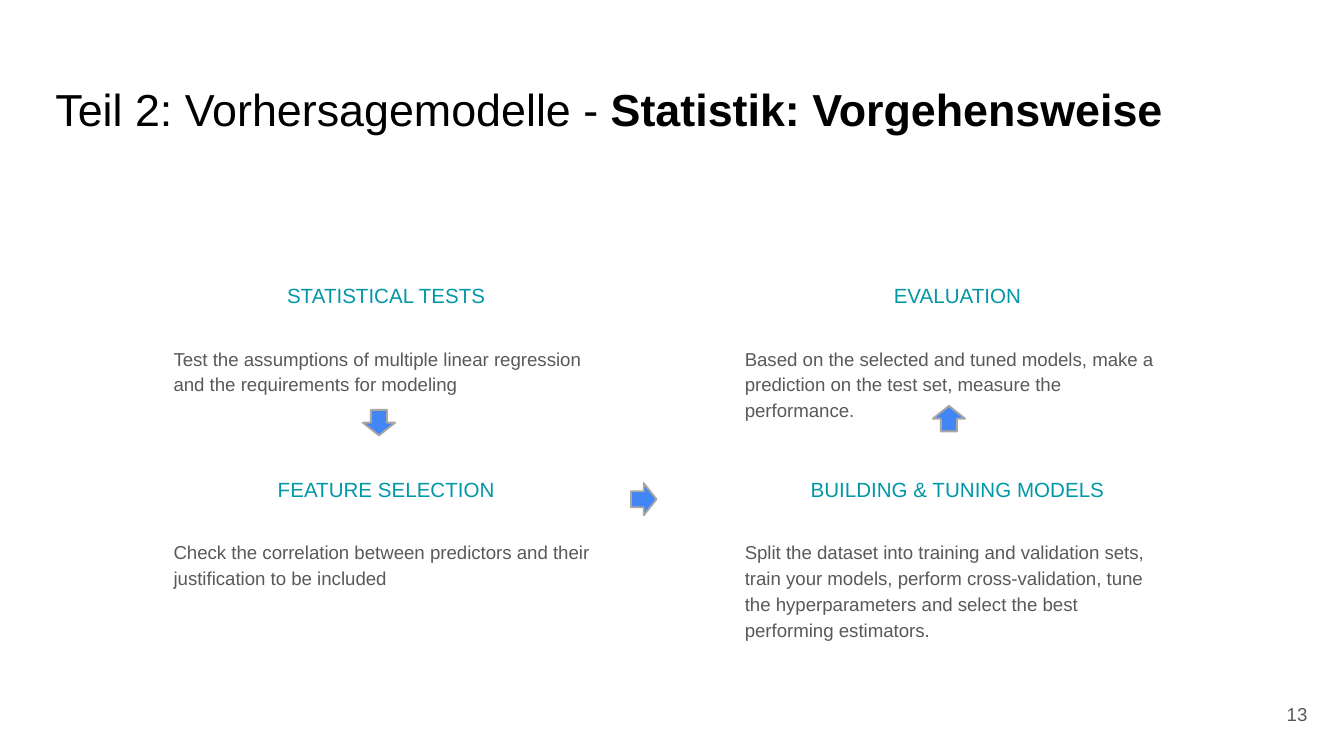
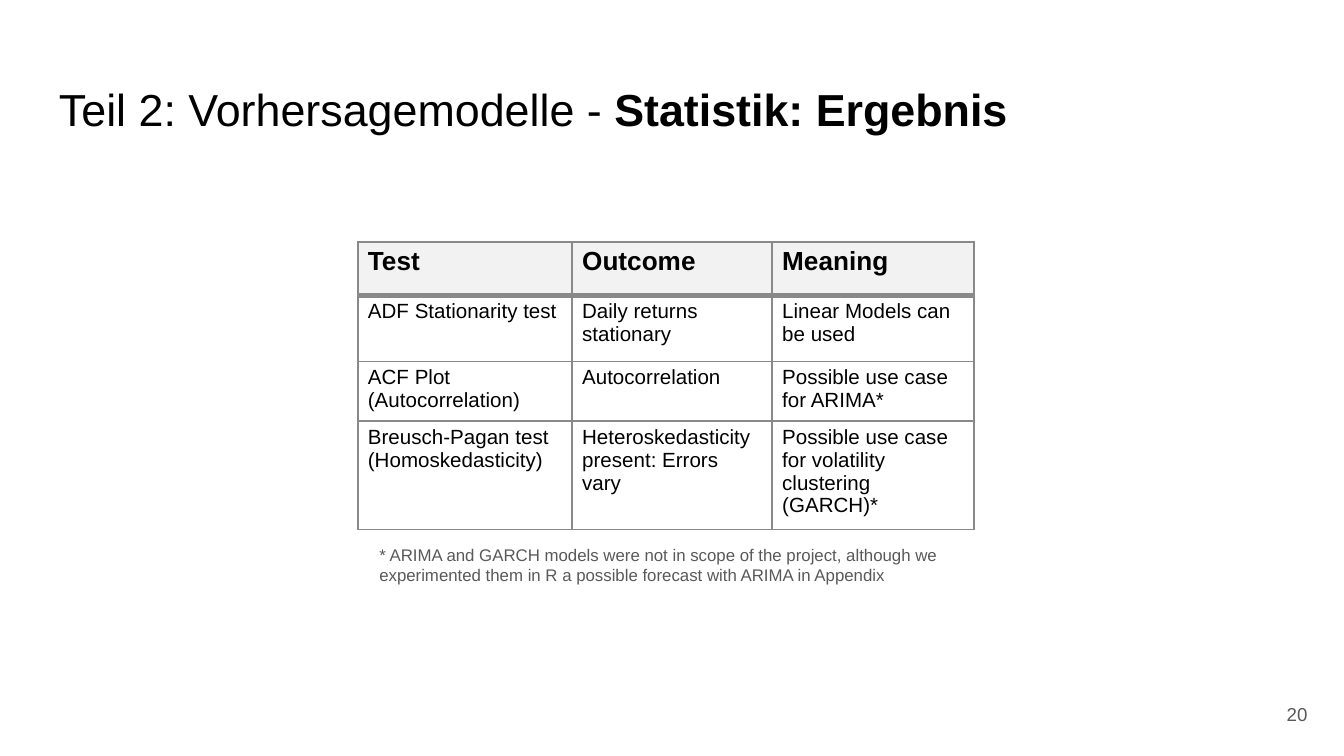
"""Build two slides on statistical modelling: the approach and its results."""
from dataclasses import dataclass

from lxml import etree
from pptx import Presentation
from pptx.dml.color import RGBColor
from pptx.enum import shapes, text
from pptx.oxml import ns
from pptx.util import Pt

PART = "Teil 2: Vorhersagemodelle - "

STEPS = [
    (0, 0, "STATISTICAL TESTS",
     "Test the assumptions of multiple linear regression and the "
     "requirements for modeling"),
    (1, 0, "EVALUATION",
     "Based on the selected and tuned models, make a prediction on the "
     "test set, measure the performance."),
    (0, 1, "FEATURE SELECTION",
     "Check the correlation between predictors and their justification "
     "to be included"),
    (1, 1, "BUILDING & TUNING MODELS",
     "Split the dataset into training and validation sets, train your "
     "models, perform cross-validation, tune the hyperparameters and "
     "select the best performing estimators."),
]

ARROWS = [(194.4, 219.6, 0), (336.2, 260.6, 270), (499.7, 217.4, 180)]

TESTS = [
    ("Test", "Outcome", "Meaning"),
    ("ADF Stationarity test", "Daily returns stationary",
     "Linear Models can be used"),
    ("ACF Plot (Autocorrelation)", "Autocorrelation",
     "Possible use case for ARIMA*"),
    ("Breusch-Pagan test (Homoskedasticity)",
     "Heteroskedasticity present: Errors vary",
     "Possible use case for volatility clustering (GARCH)*"),
]
COLS = (114.8, 107.2, 108)
ROWS = (28.5, 35.5, 28, 28.8)

NOTE = ("* ARIMA and GARCH models were not in scope of the project, although "
        "we experimented them in R a possible forecast with ARIMA in Appendix")


@dataclass(frozen=True)
class Theme:
    """Colours, font and type sizes."""
    font: str = "Arial"
    back: str = "FFFFFF"
    ink: str = "000000"
    grey: str = "595959"
    teal: str = "0097A7"
    blue: str = "4285F4"
    edge: str = "AAA7A2"
    rule: str = "898989"
    band: str = "F2F2F2"
    title: int = 24
    label: int = 11
    body: int = 10
    note: int = 9
    head: int = 14


T = Theme()


def paint(fill, color):
    """Give a fill one solid colour."""
    fill.solid()
    fill.fore_color.rgb = RGBColor.from_string(color)


def write(para, words, size, color, bold=False):
    """Add one styled run."""
    run = para.add_run()
    run.text = words
    font = run.font
    font.name, font.size, font.bold = T.font, Pt(size), bold
    font.color.rgb = RGBColor.from_string(color)


def box(slide, at, runs, size, color, align=text.PP_ALIGN.LEFT,
        anchor=text.MSO_ANCHOR.TOP, inset=(5.2, 3), lead=None):
    """Add a wrapped text box of (words, bold) runs."""
    frame = slide.shapes.add_textbox(*map(Pt, at)).text_frame
    frame.word_wrap = True
    frame.vertical_anchor = anchor
    frame.margin_left = frame.margin_right = Pt(inset[0])
    frame.margin_top = frame.margin_bottom = Pt(inset[1])
    para = frame.paragraphs[0]
    para.alignment = align
    para.line_spacing = lead
    for words, bold in runs:
        write(para, words, size, color, bold)


def start(deck, topic, number, inset):
    """Add a blank slide with its title and page number."""
    slide = deck.slides.add_slide(deck.slide_layouts[6])
    paint(slide.background.fill, T.back)
    mid = text.MSO_ANCHOR.MIDDLE
    box(slide, (24.5, 35.3, 671, 45.4), [(PART, False), (topic, True)],
        T.title, T.ink, anchor=mid, inset=inset)
    box(slide, (662.4, 367.2, 43.2, 31), [(str(number), False)],
        T.body, T.grey, text.PP_ALIGN.RIGHT, mid)
    return slide


def flow(slide):
    """Lay the steps on a two by two grid and link them with arrows."""
    wide = 238.3
    for col, row, name, words in STEPS:
        left, top = 87.8 + 306 * col, 151.2 + 103.7 * row
        box(slide, (left, top, wide, 21.6), [(name, False)],
            T.label, T.teal, text.PP_ALIGN.CENTER, lead=0.8)
        box(slide, (left, top + 30.2, wide, 32), [(words, False)],
            T.body, T.grey, lead=1.15)
    for left, top, turn in ARROWS:
        arrow = slide.shapes.add_shape(shapes.MSO_SHAPE.DOWN_ARROW,
                                       Pt(left), Pt(top), Pt(17.3), Pt(13.7))
        arrow.rotation = turn
        arrow.shadow.inherit = False
        paint(arrow.fill, T.blue)
        paint(arrow.line.fill, T.edge)
        arrow.line.width = Pt(1)


def border(cell, widths):
    """Draw the left, right, top and bottom cell borders."""
    props = cell._tc.get_or_add_tcPr()
    for spot, (side, width) in enumerate(zip("LRTB", widths)):
        line = etree.Element(ns.qn(f"a:ln{side}"), w=str(Pt(width)))
        fill = etree.SubElement(line, ns.qn("a:solidFill"))
        etree.SubElement(fill, ns.qn("a:srgbClr"), val=T.rule)
        props.insert(spot, line)


def grid(slide):
    """Add the table of test results."""
    table = slide.shapes.add_table(
        len(ROWS), len(COLS), Pt(191.7), Pt(129.6),
        Pt(sum(COLS)), Pt(sum(ROWS))).table
    for col, wide in zip(table.columns, COLS):
        col.width = Pt(wide)
    for row, high in zip(table.rows, ROWS):
        row.height = Pt(high)
    for r, line in enumerate(TESTS):
        top = r == 0
        for c, words in enumerate(line):
            cell = table.cell(r, c)
            cell.margin_left = cell.margin_right = Pt(5.4)
            cell.margin_top = cell.margin_bottom = Pt(2.7)
            paint(cell.fill, T.band if top else T.back)
            border(cell, (1, 1, 3 if r == 1 else 1, 3 if top else 1))
            write(cell.text_frame.paragraphs[0], words,
                  T.head if top else T.label, T.ink, top)


def main():
    """Build and save the deck."""
    deck = Presentation()
    deck.slide_width, deck.slide_height = Pt(720), Pt(405)
    flow(start(deck, "Statistik: Vorgehensweise", 13, (5.2, 3)))
    slide = start(deck, "Statistik: Ergebnis", 20, (7.2, 7.2))
    grid(slide)
    box(slide, (198, 288.7, 329.8, 27.4), [(NOTE, False)], T.note, T.grey)
    deck.save("out.pptx")


if __name__ == "__main__":
    main()
